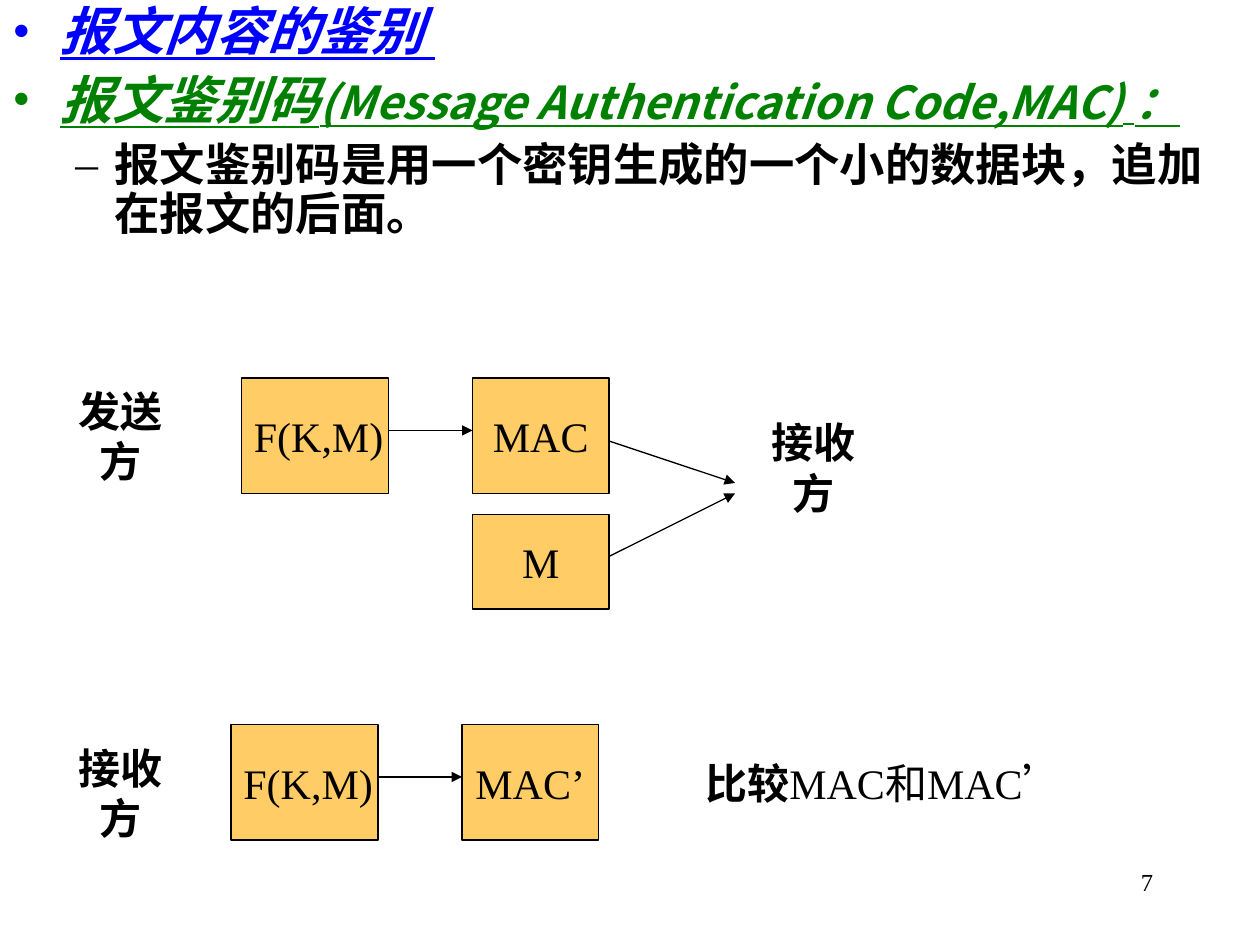
from lxml import etree
from pptx import Presentation
from pptx import util as u
from pptx.dml.color import RGBColor
from pptx.enum import shapes, text
from pptx.oxml.ns import qn

BLUE = RGBColor(0x00, 0x00, 0xFF)
GREEN = RGBColor(0x00, 0x80, 0x00)
BLACK = RGBColor(0x00, 0x00, 0x00)
ORANGE = RGBColor(0xFF, 0xCC, 0x66)
SERIF, SANS = "Times New Roman", "Noto Sans CJK SC"
LEFT, CENTER, RIGHT = text.PP_ALIGN.LEFT, text.PP_ALIGN.CENTER, text.PP_ALIGN.RIGHT

CELL = u.Inches(1) // 12        # the page is a grid of 120 columns and 90 rows
COLUMNS, ROWS = 120, 90
STEP_W, RESULT_W, BOX_H = 14, 13, 11
GAP = 8                         # columns between a step and its result


def cells(*counts):
    return [u.Emu(count * CELL) for count in counts]


def add_run(para, words, size=24, font=SERIF, color=BLACK, bold=False, slanted=False):
    """Add a run; slanted text is italic and underlined."""
    span = para.add_run()
    span.text = words
    span.font.size = u.Pt(size)
    span.font.name = font
    span.font.color.rgb = color
    span.font.bold = bold
    span.font.italic = slanted
    span.font.underline = slanted
    etree.SubElement(span._r.get_or_add_rPr(), qn("a:ea"), typeface=SANS)


def add_bullet(para, mark, color, margin, hanging):
    props = para._p.get_or_add_pPr()
    props.set("marL", str(u.Inches(margin)))
    props.set("indent", str(-u.Inches(hanging)))
    tint = etree.SubElement(props, qn("a:buClr"))
    etree.SubElement(tint, qn("a:srgbClr"), val=str(color))
    etree.SubElement(props, qn("a:buFont"), typeface=SERIF)
    etree.SubElement(props, qn("a:buChar"), char=mark)


def add_label(page, box, runs, align=CENTER):
    """Place one line of text, given as (words, bold) pairs, mid-height in a box."""
    frame = page.shapes.add_textbox(*cells(*box)).text_frame
    fill_frame(frame, runs, align)


def fill_frame(frame, runs, align):
    frame.word_wrap = False
    frame.vertical_anchor = text.MSO_ANCHOR.MIDDLE
    para = frame.paragraphs[0]
    para.alignment = align
    for words, bold in runs:
        add_run(para, words, bold=bold)


def add_block(page, box, words, align=CENTER):
    block = page.shapes.add_shape(shapes.MSO_SHAPE.RECTANGLE, *cells(*box))
    block.shadow.inherit = False
    block.fill.solid()
    block.fill.fore_color.rgb = ORANGE
    block.line.color.rgb = BLACK
    block.line.width = u.Pt(0.75)
    fill_frame(block.text_frame, [(words, False)], align)


def add_arrow(page, start, end):
    arrow = page.shapes.add_connector(
        shapes.MSO_CONNECTOR.STRAIGHT, *cells(*start, *end))
    arrow.line.color.rgb = BLACK
    arrow.line.width = u.Pt(0.75)
    etree.SubElement(arrow.line._get_or_add_ln(), qn("a:tailEnd"), type="triangle")
    etree.SubElement(arrow._element.spPr, qn("a:effectLst"))


def add_outline(page, box):
    frame = page.shapes.add_textbox(*cells(*box)).text_frame
    frame.word_wrap = True
    blue = dict(size=29.6, color=BLUE, bold=True, slanted=True)
    green = dict(blue, color=GREEN)
    latin = dict(green, size=25.9)
    top, sub = (0.38, 0.38), (0.81, 0.31)
    points = [
        (0, "•", BLUE, top, 0, [("报文内容的鉴别", dict(blue, font=SANS)), (" ", blue)]),
        (0, "•", GREEN, top, 7, [
            ("报文鉴别码", dict(green, font=SANS)),
            ("(Message Authentication Code,MAC)", dict(latin, font=SANS)),
            (" ：", latin)]),
        (1, "–", BLACK, sub, 7, [
            ("报文鉴别码是用一个密钥生成的一个小的数据块，追加在报文的后面。",
             dict(size=25.9, font=SANS, bold=True))]),
    ]
    for index, (level, mark, color, indents, before, runs) in enumerate(points):
        para = frame.add_paragraph() if index else frame.paragraphs[0]
        para.level = level
        para.line_spacing = 0.9
        para.space_before = u.Pt(before)
        add_bullet(para, mark, color, *indents)
        for words, style in runs:
            add_run(para, words, **style)


def add_computation(page, left, top, result):
    """Draw F(K,M) with an arrow to its result; return the result's left and right."""
    start = left + STEP_W
    end = start + GAP
    add_block(page, (left, top, STEP_W, BOX_H), "F(K,M)", LEFT)
    add_arrow(page, (start, top + 5), (end, top + 5))
    add_block(page, (end, top, RESULT_W, BOX_H), result)
    return end, end + RESULT_W


def add_sender(page, left, top):
    add_label(page, (left, top, RESULT_W, BOX_H), [("发送方", True)])
    column, edge = add_computation(page, left + 18, top, "MAC")
    add_block(page, (column, top + BOX_H + 2, RESULT_W, 9), "M")
    target = edge + 12
    add_arrow(page, (edge, top + 6), (target, top + 10))
    add_arrow(page, (edge, top + 17), (target, top + 11))
    add_label(page, (target + 1, top + 3, RESULT_W, BOX_H), [("接收方", True)])


def add_receiver(page, left, top):
    add_label(page, (left, top + 1, RESULT_W, BOX_H), [("接收方", True)])
    edge = add_computation(page, left + 17, top, "MAC’")[1]
    add_label(page, (edge + 9, top, 48, BOX_H),
              [("比较", True), ("MAC和MAC’", False)], LEFT)


def add_page_number(page, box, number):
    frame = page.shapes.add_textbox(*cells(*box)).text_frame
    frame.word_wrap = True
    para = frame.paragraphs[0]
    para.alignment = RIGHT
    add_run(para, number, size=14)


def main():
    deck = Presentation()
    deck.slide_width, deck.slide_height = cells(COLUMNS, ROWS)
    page = deck.slides.add_slide(deck.slide_layouts[6])
    add_outline(page, (0, 0, COLUMNS, 32))
    add_sender(page, 5, 36)
    add_receiver(page, 5, 69)
    add_page_number(page, (86, 82, 25, 6), "7")
    deck.save("out.pptx")


if __name__ == "__main__":
    main()
